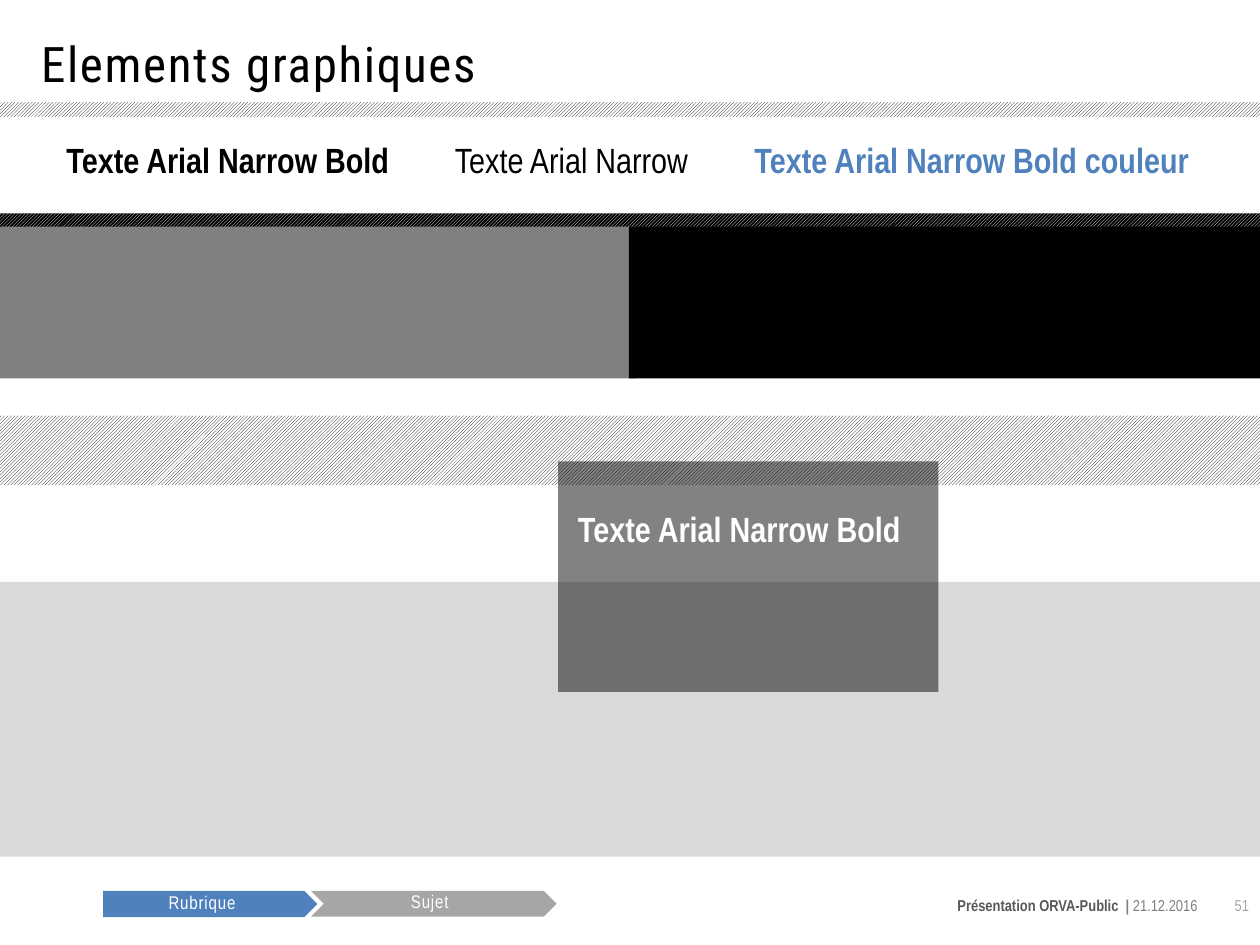
from dataclasses import dataclass
from typing import Optional

from lxml.etree import SubElement
from pptx import Presentation
from pptx.dml.color import RGBColor
from pptx.enum.dml import MSO_PATTERN
from pptx.enum.shapes import MSO_SHAPE
from pptx.enum.text import MSO_ANCHOR, PP_ALIGN
from pptx.oxml.ns import qn
from pptx.util import Cm, Pt

COLORS = {
    "black": "000000",
    "white": "FFFFFF",
    "blue": "4F81BD",
    "light": "D9D9D9",
    "silver": "A6A6A6",
    "middle": "808080",
    "footer": "595959",
    "date": "7F7F7F",
}
NARROW = "Arial Narrow"
CONDENSED = "Roboto Condensed"


@dataclass
class Block:
    left: float
    top: float
    width: float
    height: float
    fill: str
    hatch: Optional[str] = None
    kind: MSO_SHAPE = MSO_SHAPE.RECTANGLE
    alpha: Optional[int] = None


@dataclass
class Span:
    text: str
    color: str
    bold: bool = False


@dataclass
class Label:
    left: float
    top: float
    width: float
    height: float
    spans: list[Span]
    size: float
    font: str = NARROW
    align: PP_ALIGN = PP_ALIGN.LEFT
    wrap: bool = True
    line_spacing: Optional[float] = None
    tracking: int = 0


def color(name: str) -> RGBColor:
    return RGBColor.from_string(COLORS[name])


def apply(target, values: dict) -> None:
    for name, value in values.items():
        setattr(target, name, value)


def draw_block(page, block: Block) -> None:
    shape = page.shapes.add_shape(
        block.kind, Cm(block.left), Cm(block.top), Cm(block.width), Cm(block.height)
    )
    shape.shadow.inherit = False
    shape.line.fill.background()
    if block.hatch:
        shape.fill.patterned()
        shape.fill.pattern = MSO_PATTERN.LIGHT_UPWARD_DIAGONAL
        shape.fill.fore_color.rgb = color(block.hatch)
        shape.fill.back_color.rgb = color(block.fill)
    else:
        shape.fill.solid()
        shape.fill.fore_color.rgb = color(block.fill)
    if block.alpha:
        tone = shape._element.spPr.find(qn("a:solidFill"))[0]
        SubElement(tone, qn("a:alpha"), val=str(block.alpha * 1000))


def draw_label(page, label: Label) -> None:
    box = page.shapes.add_textbox(
        Cm(label.left), Cm(label.top), Cm(label.width), Cm(label.height)
    )
    frame = box.text_frame
    apply(frame, {"word_wrap": label.wrap, "vertical_anchor": MSO_ANCHOR.TOP})
    para = frame.paragraphs[0]
    apply(para, {"alignment": label.align, "line_spacing": label.line_spacing})
    for span in label.spans:
        run = para.add_run()
        run.text = span.text
        apply(run.font, {"size": Pt(label.size), "name": label.font, "bold": span.bold})
        run.font.color.rgb = color(span.color)
        if label.tracking:
            run.font._element.set("spc", str(label.tracking))


def sample(left: float, top: float, width: float, span: Span) -> Label:
    return Label(left, top, width, 1.12, [span], 20, wrap=False)


def crumb(left: float, top: float, width: float, text: str) -> Label:
    return Label(left, top, width, 0.53, [Span(text, "white")], 10.5,
                 align=PP_ALIGN.CENTER, line_spacing=0.5, tracking=50)


def band(top: float, height: float, hatch: str, fill: str) -> Block:
    return Block(-0.03, top, 25.46, height, fill, hatch)


BLOCKS = [
    band(2.06, 0.3, "black", "white"),
    Block(2.08, 17.96, 4.32, 0.53, "blue", kind=MSO_SHAPE.PENTAGON),
    Block(6.27, 17.96, 4.95, 0.52, "silver", kind=MSO_SHAPE.CHEVRON),
    band(8.38, 1.4, "black", "white"),
    Block(0, 11.73, 25.4, 5.54, "light"),
    band(4.3, 0.28, "white", "black"),
    Block(0, 4.57, 12.8, 3.06, "middle"),
    Block(12.68, 4.57, 12.8, 3.06, "black"),
    Block(11.25, 9.3, 7.67, 4.65, "black", alpha=49),
]

LABELS = [
    Label(15.65, 17.93, 8.74, 0.66, [
        Span("Présentation ORVA-Public  ", "footer", True),
        Span("| ", "date", True),
        Span("21.12.2016", "date"),
    ], 9, align=PP_ALIGN.RIGHT),
    Label(23.98, 17.93, 1.45, 0.66, [Span("51", "silver")], 9, align=PP_ALIGN.RIGHT),
    Label(0.58, 0.55, 22.86, 1.73, [Span("Elements graphiques", "black")], 28,
          font=CONDENSED, tracking=100),
    crumb(2.03, 18.03, 4.09, "Rubrique"),
    crumb(7.04, 18.01, 3.25, "Sujet"),
    sample(1.09, 2.67, 7.06, Span("Texte Arial Narrow Bold", "black", True)),
    sample(8.92, 2.67, 5.26, Span("Texte Arial Narrow", "black")),
    sample(14.96, 2.67, 9.35, Span("Texte Arial Narrow Bold couleur", "blue", True)),
    sample(11.4, 10.1, 7.06, Span("Texte Arial Narrow Bold", "white", True)),
]


def main() -> None:
    deck = Presentation()
    apply(deck, {"slide_width": Cm(25.4), "slide_height": Cm(19.05)})
    page = deck.slides.add_slide(deck.slide_layouts[6])
    for block in BLOCKS:
        draw_block(page, block)
    for label in LABELS:
        draw_label(page, label)
    deck.save("out.pptx")


if __name__ == "__main__":
    main()
